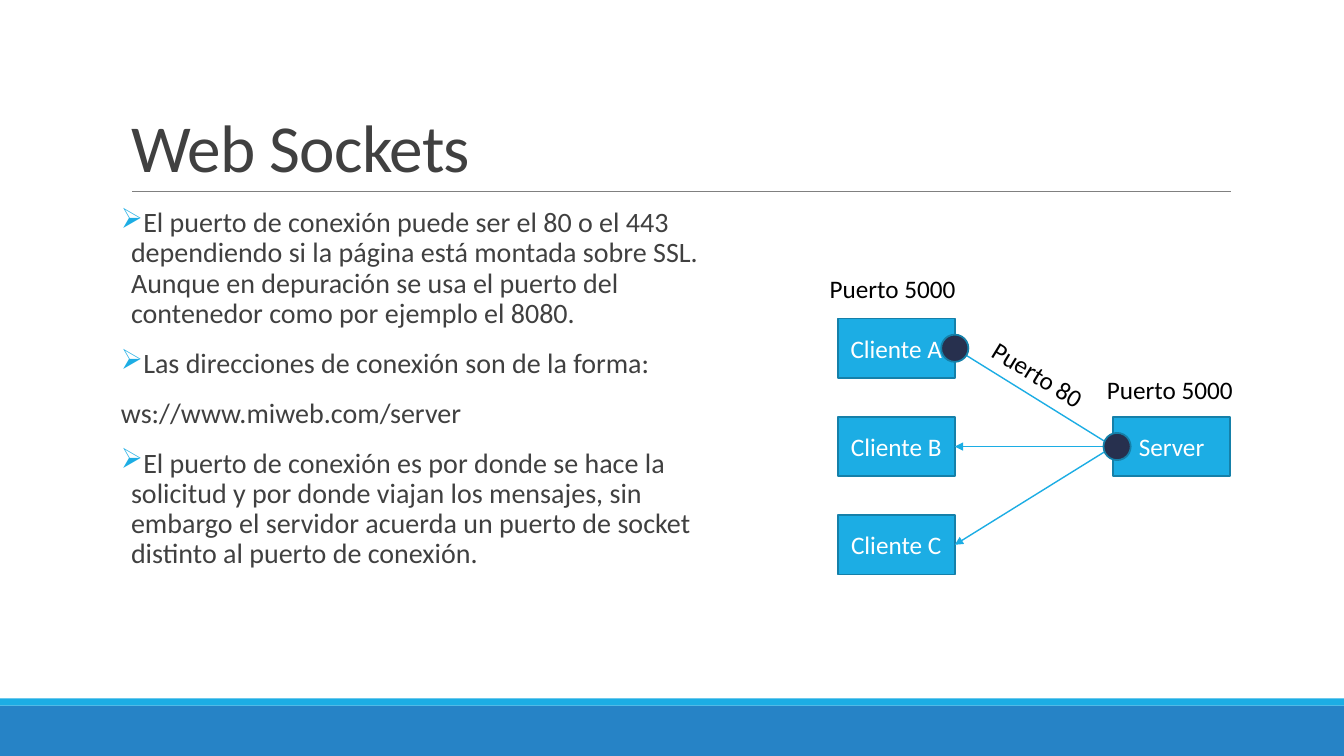
import pptx
import pptx.util
import pptx.dml.color
import pptx.enum.shapes
import pptx.enum.text
import pptx.oxml.ns
import lxml.etree

W, H = 13.33, 7.5
BLUE, EDGE, NAVY, GREY = "1CADE4", "1580A9", "27304E", "404040"
SHAPE = pptx.enum.shapes.MSO_SHAPE
ANCHOR = pptx.enum.text.MSO_ANCHOR
ALIGN = pptx.enum.text.PP_ALIGN
inch = pptx.util.Inches


def rgb(value):
    """Turn a hex string into a colour."""
    return pptx.dml.color.RGBColor.from_string(value)


def sub(parent, tag, **attrs):
    """Append a DrawingML element."""
    return lxml.etree.SubElement(parent, pptx.oxml.ns.qn(tag), attrs)


def style(p, size, color):
    """Format the runs of a paragraph."""
    for r in p.runs:
        r.font.name = "Calibri"
        r.font.size = pptx.util.Pt(size)
        r.font.color.rgb = rgb(color)


def add_shape(s, kind, box, fill, line=None, text=""):
    """Add a filled preset shape with centred text."""
    sp = s.shapes.add_shape(kind, *map(inch, box))
    sp.shadow.inherit = False
    sp.fill.solid()
    sp.fill.fore_color.rgb = rgb(fill)
    if line:
        sp.line.color.rgb = rgb(line)
        sp.line.width = pptx.util.Pt(1.25)
    else:
        sp.line.fill.background()
    if text:
        tf = sp.text_frame
        tf.text = text
        tf.vertical_anchor = ANCHOR.MIDDLE
        tf.paragraphs[0].alignment = ALIGN.CENTER
        style(tf.paragraphs[0], 18, "FFFFFF")
    return sp


def add_line(s, start, end, color, width):
    """Add a straight connector without a shadow."""
    c = s.shapes.add_connector(pptx.enum.shapes.MSO_CONNECTOR.STRAIGHT,
                               *map(inch, start + end))
    c.line.color.rgb = rgb(color)
    c.line.width = pptx.util.Pt(width)
    sub(c._element.spPr, "a:effectLst")
    return c


def add_label(s, left, top, text, rotation=0):
    """Add a port label."""
    sp = s.shapes.add_textbox(*map(inch, (left, top, 1.95, 0.4)))
    sp.rotation = rotation
    tf = sp.text_frame
    tf.word_wrap = True
    tf.text = text
    style(tf.paragraphs[0], 18, "000000")


def add_frame(s, footer, stripe):
    """Draw the footer band, its stripe on top and the title rule."""
    add_shape(s, SHAPE.RECTANGLE, (0, H - footer, W, footer), "2683C6")
    add_shape(s, SHAPE.RECTANGLE, (0, H - footer - stripe, W, stripe), BLUE)
    add_line(s, (1.31, 1.9), (12.21, 1.9), "808080", 0.5)


def add_title(s, box, text):
    """Place and format the title placeholder."""
    sp = s.shapes.title
    sp.left, sp.top, sp.width, sp.height = map(inch, box)
    tf = sp.text_frame
    tf.text = text
    tf.auto_size = pptx.enum.text.MSO_AUTO_SIZE.NONE
    tf.vertical_anchor = ANCHOR.BOTTOM
    p = tf.paragraphs[0]
    p.alignment = ALIGN.LEFT
    p.line_spacing = 0.85
    style(p, 48, GREY)
    p.runs[0].font._element.set("spc", "-50")


def add_body(s, box, items):
    """Write the paragraphs, given as (bulleted, text) pairs."""
    tf = s.shapes.add_textbox(*map(inch, box)).text_frame
    tf.word_wrap = True
    tf.margin_left = tf.margin_right = 0
    for i, (bulleted, text) in enumerate(items):
        p = tf.add_paragraph() if i else tf.paragraphs[0]
        p.text = text
        p.line_spacing = 0.9
        p.space_before = pptx.util.Pt(12)
        p.space_after = pptx.util.Pt(2)
        style(p, 20, GREY)
        if bulleted:
            pPr = p._p.get_or_add_pPr()
            pPr.set("marL", str(inch(0.1)))
            pPr.set("indent", str(inch(-0.1)))
            sub(sub(pPr, "a:buClr"), "a:srgbClr", val=BLUE)
            sub(pPr, "a:buChar", char="➢")


def add_diagram(s, box, clients, server):
    """Draw the clients in a column, linked to the server on the right."""
    left, top, width, height = box
    node_w, node_h, dot = 1.16, 0.59, 0.27
    pitch = (height - node_h) / (len(clients) - 1)
    near, far = left + node_w, left + width - node_w
    middle = top + (height - node_h) / 2
    hub = add_shape(s, SHAPE.RECTANGLE, (far, middle, node_w, node_h), BLUE, EDGE, server)
    nodes = [add_shape(s, SHAPE.RECTANGLE, (left, top + i * pitch, node_w, node_h),
                       BLUE, EDGE, name) for i, name in enumerate(clients)]
    for node in nodes:
        c = add_line(s, (near, top), (far, middle), BLUE, 1)
        c.begin_connect(node, 3)
        c.end_connect(hub, 1)
        ln = c.line._get_or_add_ln()
        sub(ln, "a:headEnd", type="triangle")
        sub(ln, "a:tailEnd", type="triangle")
    add_label(s, left - 0.18, top - 0.5, "Puerto 5000")
    add_label(s, far - 0.16, middle - 0.47, "Puerto 5000")
    add_label(s, near + 0.17, top + 0.55, "Puerto 80", 31.6)
    for x, y in ((near, top), (far + 0.04, middle)):
        add_shape(s, SHAPE.OVAL, (x - dot / 2, y + (node_h - dot) / 2, dot, dot), NAVY, EDGE)


prs = pptx.Presentation()
prs.slide_width, prs.slide_height = inch(W), inch(H)
s = prs.slides.add_slide(prs.slide_layouts[5])
add_frame(s, 0.5, 0.07)
add_title(s, (1.2, 0.31, 11, 1.59), "Web Sockets")
add_body(s, (1.2, 2.02, 5.9, 4.4), [
    (True, "El puerto de conexión puede ser el 80 o el 443 dependiendo si la página está "
           "montada sobre SSL. Aunque en depuración se usa el puerto del contenedor como "
           "por ejemplo el 8080."),
    (True, "Las direcciones de conexión son de la forma:"),
    (False, "ws://www.miweb.com/server"),
    (True, "El puerto de conexión es por donde se hace la solicitud y por donde viajan los "
           "mensajes, sin embargo el servidor acuerda un puerto de socket distinto al "
           "puerto de conexión."),
])
add_diagram(s, (8.31, 3.16, 3.89, 2.54), ["Cliente A", "Cliente B", "Cliente C"], "Server")
prs.save("out.pptx")
